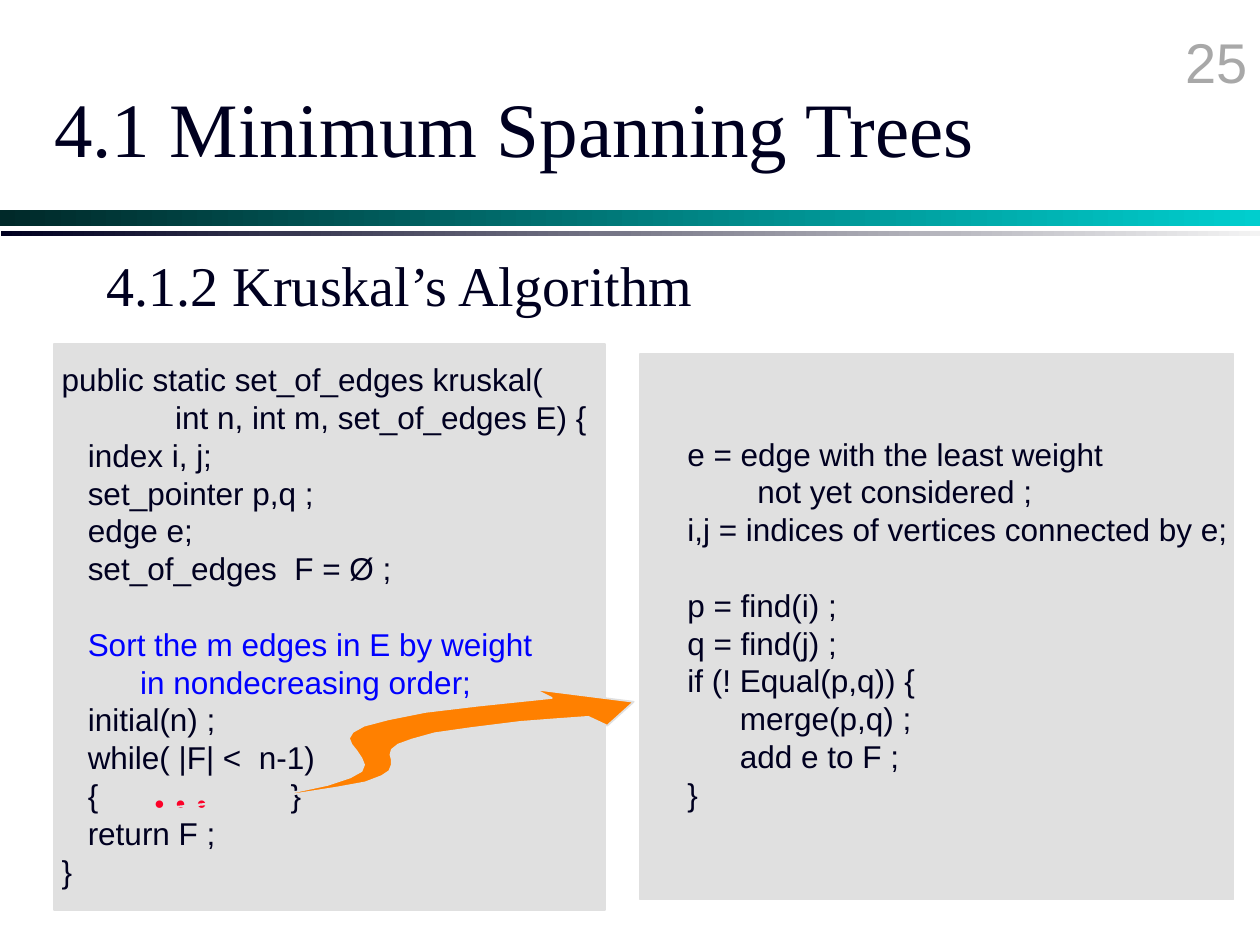
from pptx import Presentation
from pptx.dml.color import RGBColor
from pptx.enum.shapes import MSO_SHAPE
from pptx.enum.text import MSO_ANCHOR, PP_ALIGN
from pptx.util import Inches, Pt

RECT = MSO_SHAPE.RECTANGLE
MIDDLE = MSO_ANCHOR.MIDDLE
LEFT, RIGHT = PP_ALIGN.LEFT, PP_ALIGN.RIGHT

INK = RGBColor(0x00, 0x00, 0x20)
BLUE = RGBColor(0x00, 0x00, 0xFF)
RED = RGBColor(0xFC, 0x01, 0x28)
ORANGE = RGBColor(0xFF, 0x80, 0x00)
PANEL = RGBColor(0xE0, 0xE0, 0xE0)
GREY = RGBColor(0xA8, 0xA8, 0xA8)
DARK = RGBColor(0x00, 0x29, 0x29)
TEAL = RGBColor(0x00, 0xCE, 0xCE)
PALE = RGBColor(0xF3, 0xF3, 0xF3)
SANS, SERIF = "Arial", "Times New Roman"
PITCH = Pt(21.6)

BARS = [((0, 1.67, 10, 0.12), DARK, TEAL), ((0.01, 1.83, 9.99, 0.04), INK, PALE)]
PANELS = [(5.08, 2.81, 4.71, 4.33), (0.43, 2.73, 4.37, 4.49)]

# Each listing is a list of blocks, set one line apart: (colour, line) pairs.
MAIN = [
    [
        (INK, "public static set_of_edges kruskal("),
        (INK, "             int n, int m, set_of_edges E) {"),
        (INK, "   index i, j;"),
        (INK, "   set_pointer p,q ;"),
        (INK, "   edge e;"),
        (INK, "   set_of_edges  F = Ø ;"),
    ],
    [
        (BLUE, "   Sort the m edges in E by weight"),
        (BLUE, "         in nondecreasing order;"),
        (INK, "   initial(n) ;"),
        (INK, "   while( |F| <  n-1)"),
        (INK, "   {                      }"),
        (INK, "   return F ;"),
        (INK, "}"),
    ],
]
LOOP = [
    [
        (INK, "    e = edge with the least weight"),
        (INK, "            not yet considered ;"),
        (INK, "    i,j = indices of vertices connected by e;"),
    ],
    [
        (INK, "    p = find(i) ;"),
        (INK, "    q = find(j) ;"),
        (INK, "    if (! Equal(p,q)) {"),
        (INK, "          merge(p,q) ;"),
        (INK, "          add e to F ;"),
        (INK, "    }"),
    ],
]
# Outline in hundredths of an inch: the builder rounds points to whole units.
ARROW = [
    (424, 547), (503, 557), (482, 576), (467, 569), (439, 571),
    (413, 573), (373, 578), (345, 582), (327, 587), (316, 591),
    (311, 595), (310, 599), (311, 603), (311, 607), (309, 612),
    (303, 616), (290, 621), (268, 625), (236, 630), (192, 636),
    (133, 641), (163, 638), (190, 635), (232, 629), (260, 623),
    (278, 617), (287, 612), (289, 607), (287, 602), (283, 596),
    (279, 591), (277, 586), (280, 581), (289, 576), (308, 571),
    (338, 565), (380, 560), (438, 554),
]


def style(para, face, size, color, align=LEFT):
    para.alignment = align
    font = para.font
    font.name, font.size, font.color.rgb = face, Pt(size), color


def paint(shape, fill):
    shape.shadow.inherit = False
    shape.fill.solid()
    shape.fill.fore_color.rgb = fill
    shape.line.color.rgb = PANEL
    shape.line.width = Pt(1)


def add_bar(slide, box, start, end):
    bar = slide.shapes.add_shape(RECT, *map(Inches, box))
    bar.shadow.inherit = False
    bar.line.fill.background()
    bar.fill.gradient()
    bar.fill.gradient_angle = 0
    for stop, color, place in zip(bar.fill.gradient_stops, (start, end), (0, 1)):
        stop.color.rgb = color
        stop.position = place


def add_frame(slide, box, wrap=True):
    frame = slide.shapes.add_textbox(*map(Inches, box)).text_frame
    frame.word_wrap = wrap
    return frame


def add_label(slide, box, text, face, size, color, align=LEFT, wrap=True):
    para = add_frame(slide, box, wrap).paragraphs[0]
    para.text = text
    style(para, face, size, color, align)


def add_code(slide, box, blocks):
    frame = add_frame(slide, box)
    para = frame.paragraphs[0]
    for b, block in enumerate(blocks):
        for n, (color, line) in enumerate(block):
            if b or n:
                para = frame.add_paragraph()
            para.text = line
            para.line_spacing = PITCH
            if b and not n:
                para.space_before = PITCH
            style(para, SANS, 18, color)


def main():
    deck = Presentation()
    deck.slide_width, deck.slide_height = Inches(10), Inches(7.5)
    slide = deck.slides.add_slide(deck.slide_layouts[5])

    title = slide.shapes.title
    title.left, title.top, title.width, title.height = map(
        Inches, (0.33, 0.38, 8.5, 1.25))
    title.text_frame.text = "4.1 Minimum Spanning Trees"
    title.text_frame.vertical_anchor = MIDDLE
    style(title.text_frame.paragraphs[0], SERIF, 44, INK)

    for bar in BARS:
        add_bar(slide, *bar)
    for box in PANELS:
        paint(slide.shapes.add_shape(RECT, *map(Inches, box)), PANEL)

    add_label(slide, (7.92, 0.17, 2.08, 0.5), "25", SANS, 32, GREY, RIGHT)
    add_label(slide, (0.75, 1.94, 8.42, 0.58), "4.1.2 Kruskal’s Algorithm",
              SERIF, 32, INK)
    add_code(slide, (0.39, 2.81, 4.49, 4.31), MAIN)
    add_label(slide, (1.09, 5.86, 0.7, 0.7), "…", SERIF, 36, RED, wrap=False)
    add_code(slide, (5.08, 3.4, 4.8, 3.1), LOOP)

    arrow = slide.shapes.build_freeform(*ARROW[0], scale=Inches(0.01))
    arrow.add_line_segments(ARROW[1:], close=True)
    paint(arrow.convert_to_shape(), ORANGE)

    deck.save("out.pptx")


if __name__ == "__main__":
    main()
